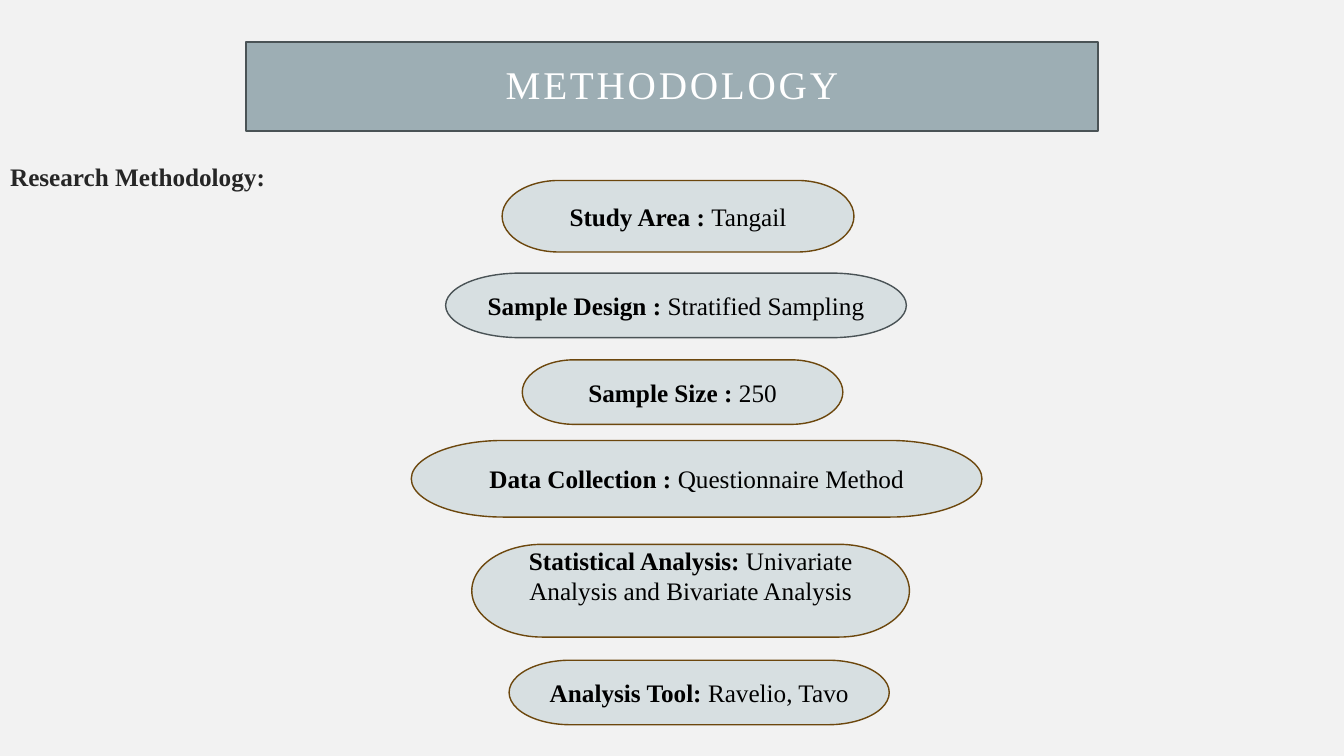
from dataclasses import dataclass

from pptx import Presentation
from pptx.dml.color import RGBColor
from pptx.enum.shapes import MSO_SHAPE
from pptx.enum.text import MSO_ANCHOR, MSO_AUTO_SIZE, PP_ALIGN
from pptx.oxml.xmlchemy import OxmlElement
from pptx.slide import Slide
from pptx.text.text import Font
from pptx.util import Inches, Pt


@dataclass(frozen=True)
class Theme:
    face: str = "Times New Roman"
    page: str = "F2F2F2"
    banner: str = "9DAEB4"
    slate: str = "4A5356"
    white: str = "FFFFFF"
    head: str = "262626"
    ink: str = "000000"
    pill: str = "D7DFE1"
    brown: str = "6C470D"
    large: float = 28
    normal: float = 18


THEME = Theme()


@dataclass(frozen=True)
class Step:
    label: str
    value: str
    left: float
    top: float
    width: float
    height: float = 0.64
    edge: str = THEME.brown
    bottom: float = 0.05


STEPS = [
    Step("Study Area : ", "Tangail", 4.98, 1.79, 3.49, 0.71),
    Step("Sample Design : ", "Stratified Sampling", 4.42, 2.71, 4.57, edge=THEME.slate),
    Step("Sample Size : ", "250", 5.18, 3.57, 3.18),
    Step("Data Collection : ", "Questionnaire Method", 4.08, 4.37, 5.66, 0.76),
    Step("Statistical Analysis: ", "Univariate Analysis and Bivariate Analysis",
         4.68, 5.4, 4.34, 0.92, bottom=0.35),
    Step("Analysis Tool: ", "Ravelio, Tavo", 5.05, 6.55, 3.77),
]


def style(font: Font, size: float, color: str, bold: bool = False) -> None:
    font.name = THEME.face
    font.size = Pt(size)
    font.bold = bold
    font.color.rgb = RGBColor.from_string(color)


def place(shape, left: float, top: float, width: float, height: float) -> None:
    shape.left, shape.top = Inches(left), Inches(top)
    shape.width, shape.height = Inches(width), Inches(height)


def paint(shape, fill: str, edge: str, weight: float) -> None:
    shape.fill.solid()
    shape.fill.fore_color.rgb = RGBColor.from_string(fill)
    shape.line.color.rgb = RGBColor.from_string(edge)
    shape.line.width = Pt(weight)


def add_title(slide: Slide) -> None:
    title = slide.shapes.title
    place(title, 2.44, 0.42, 8.45, 0.88)
    paint(title, THEME.banner, THEME.slate, 1.5)
    frame = title.text_frame
    frame.text = "METHODOLOGY"
    frame.auto_size = MSO_AUTO_SIZE.NONE
    frame.vertical_anchor = MSO_ANCHOR.MIDDLE
    frame.margin_left = frame.margin_right = Inches(0.2)
    frame.margin_top = frame.margin_bottom = Inches(0.2)
    para = frame.paragraphs[0]
    para.alignment = PP_ALIGN.CENTER
    para.line_spacing = 0.9
    run = para.runs[0]
    style(run.font, THEME.large, THEME.white)
    run._r.get_or_add_rPr().set("spc", "200")


def add_body(slide: Slide) -> None:
    body = slide.placeholders[1]
    place(body, 0, 1.55, 13.33, 5.95)
    frame = body.text_frame
    frame.text = "Research Methodology:"
    frame.auto_size = MSO_AUTO_SIZE.NONE
    para = frame.paragraphs[0]
    props = para._p.get_or_add_pPr()
    props.set("marL", "0")
    props.set("indent", "0")
    props.append(OxmlElement("a:buNone"))
    para.space_before = Pt(0)
    style(para.runs[0].font, THEME.normal, THEME.head, True)


def add_step(slide: Slide, step: Step) -> None:
    pill = slide.shapes.add_shape(
        MSO_SHAPE.FLOWCHART_TERMINATOR, Inches(step.left), Inches(step.top),
        Inches(step.width), Inches(step.height))
    pill.shadow.inherit = False
    paint(pill, THEME.pill, step.edge, 1)
    frame = pill.text_frame
    frame.word_wrap = True
    frame.vertical_anchor = MSO_ANCHOR.MIDDLE
    frame.margin_bottom = Inches(step.bottom)
    para = frame.paragraphs[0]
    para.alignment = PP_ALIGN.CENTER
    for text, bold in ((step.label, True), (step.value, False)):
        run = para.add_run()
        run.text = text
        style(run.font, THEME.normal, THEME.ink, bold)


def main() -> None:
    deck = Presentation()
    deck.slide_width, deck.slide_height = Inches(13.33), Inches(7.5)
    slide = deck.slides.add_slide(deck.slide_layouts[1])
    slide.background.fill.solid()
    slide.background.fill.fore_color.rgb = RGBColor.from_string(THEME.page)
    add_title(slide)
    add_body(slide)
    for step in STEPS:
        add_step(slide, step)
    deck.save("out.pptx")


if __name__ == "__main__":
    main()
